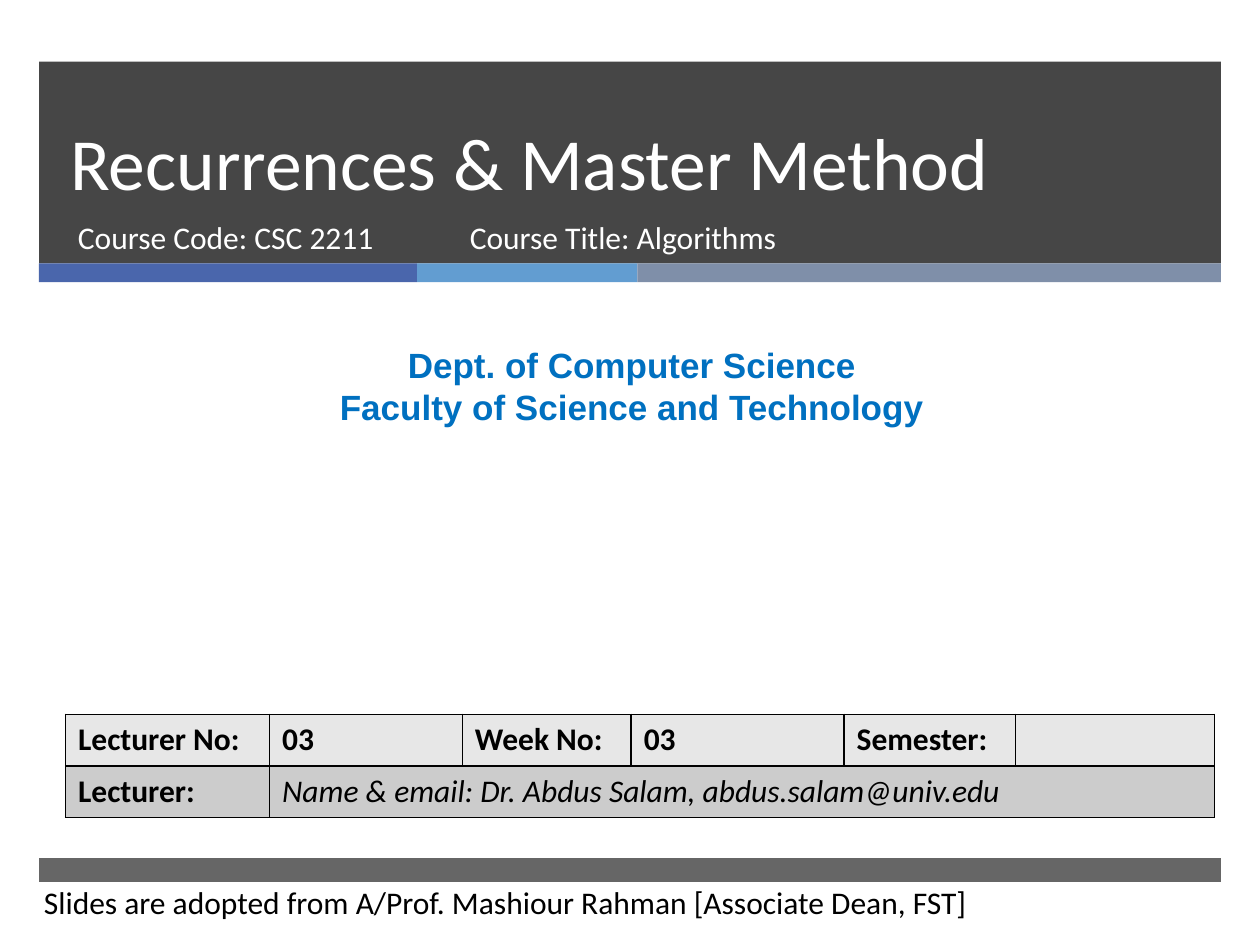
from lxml.etree import SubElement
from pptx import Presentation
from pptx.dml.color import RGBColor
from pptx.enum.shapes import MSO_SHAPE
from pptx.enum.text import MSO_ANCHOR, MSO_AUTO_SIZE, PP_ALIGN
from pptx.oxml import parse_xml
from pptx.oxml.ns import nsdecls, qn
from pptx.util import Inches, Pt


def color(value):
    return RGBColor.from_string(value)


def write(frame, text, size=18, font="Calibri", ink="000000", bold=False,
          italic=False, align=PP_ALIGN.LEFT, spacing=None):
    for index, line in enumerate(text.split("\n")):
        paragraph = frame.add_paragraph() if index else frame.paragraphs[0]
        paragraph.alignment = align
        paragraph.line_spacing = spacing
        run = paragraph.add_run()
        run.text = line
        run.font.size = Pt(size)
        run.font.name = font
        run.font.color.rgb = color(ink)
        run.font.bold = bold
        run.font.italic = italic


class LectureSlide:
    """Draws the parts of a lecture cover on one slide."""

    dark, white, accent, border = "262626", "FFFFFF", "0070C0", "000000"
    row_fills = ("E7E7E7", "CCCCCC")

    def __init__(self, slide):
        self.shapes = slide.shapes

    def band(self, left, top, width, height, fill, opacity=100):
        band = self.shapes.add_shape(MSO_SHAPE.RECTANGLE, Inches(left), Inches(top),
                                     Inches(width), Inches(height))
        band.shadow.inherit = False
        band.line.fill.background()
        band.fill.solid()
        band.fill.fore_color.rgb = color(fill)
        if opacity < 100:
            tone = band.fill._xPr.find(qn("a:solidFill"))[0]
            SubElement(tone, qn("a:alpha"), val=str(opacity * 1000))

    def text(self, left, top, width, height, text, anchor=MSO_ANCHOR.TOP,
             grow=False, **style):
        box = self.shapes.add_textbox(Inches(left), Inches(top),
                                      Inches(width), Inches(height))
        frame = box.text_frame
        frame.word_wrap = True
        frame.vertical_anchor = anchor
        if grow:
            frame.auto_size = MSO_AUTO_SIZE.SHAPE_TO_FIT_TEXT
        write(frame, text, **style)

    def outline(self, cell):
        for index, side in enumerate(("lnL", "lnR", "lnT", "lnB")):
            cell._tc.get_or_add_tcPr().insert(index, parse_xml(
                f'<a:{side} {nsdecls("a")} w="{Pt(1)}"><a:solidFill>'
                f'<a:srgbClr val="{self.border}"/></a:solidFill></a:{side}>'))

    def table(self, left, top, widths, row_height, rows):
        table = self.shapes.add_table(
            len(rows), len(widths), Inches(left), Inches(top),
            Inches(sum(widths)), Inches(row_height * len(rows))).table
        for column, width in zip(table.columns, widths):
            column.width = Inches(width)
        for row, texts, fill in zip(table.rows, rows, self.row_fills):
            row.height = Inches(row_height)
            for cell in row.cells:
                cell.fill.solid()
                cell.fill.fore_color.rgb = color(fill)
                self.outline(cell)
            for cell, (text, style) in zip(row.cells, texts):
                write(cell.text_frame, text, **style)
        return table


def main():
    deck = Presentation()
    deck.slide_width, deck.slide_height = Inches(10), Inches(7.5)
    cover = LectureSlide(deck.slides.add_slide(deck.slide_layouts[6]))

    margin, full_width = 0.31, 9.38
    cover.band(margin, 0.49, full_width, 1.6, cover.dark, opacity=85)
    stripe_left = margin
    for width, fill in ((3, "4A66AC"), (1.75, "629DD1"), (4.63, "7F8FA9")):
        cover.band(stripe_left, 2.09, width, 0.15, fill)
        stripe_left += width
    cover.band(margin, 6.81, full_width, 0.19, cover.dark, opacity=70)

    cover.text(0.46, 0.49, 8.54, 1.19, "Recurrences & Master Method",
               anchor=MSO_ANCHOR.BOTTOM, size=42, ink=cover.white, spacing=Pt(46))
    cover.text(0.52, 1.68, 3.05, 0.53, "Course Code: CSC 2211", ink=cover.white)
    cover.text(3.63, 1.68, 4.55, 0.53, "Course Title: Algorithms", ink=cover.white)
    cover.text(0.08, 2.68, 9.87, 0.77,
               "Dept. of Computer Science\nFaculty of Science and Technology",
               grow=True, size=20, font="Arial", ink=cover.accent, bold=True,
               align=PP_ALIGN.CENTER)

    label, contact = {"bold": True}, {"italic": True}
    session = ("Lecturer No:", "03", "Week No:", "03", "Semester:")
    details = cover.table(
        0.52, 5.67, (1.62, 1.53, 1.34, 1.69, 1.36, 1.58), 0.41,
        ([(text, label) for text in session],
         [("Lecturer:", label),
          ("Name & email: Dr. Abdus Salam, abdus.salam@univ.edu", contact)]))
    details.cell(1, 1).merge(details.cell(1, 5))

    cover.text(0.25, 6.96, 7.59, 0.4,
               "Slides are adopted from A/Prof. Mashiour Rahman [Associate Dean, FST]",
               grow=True)
    deck.save("out.pptx")


if __name__ == "__main__":
    main()
